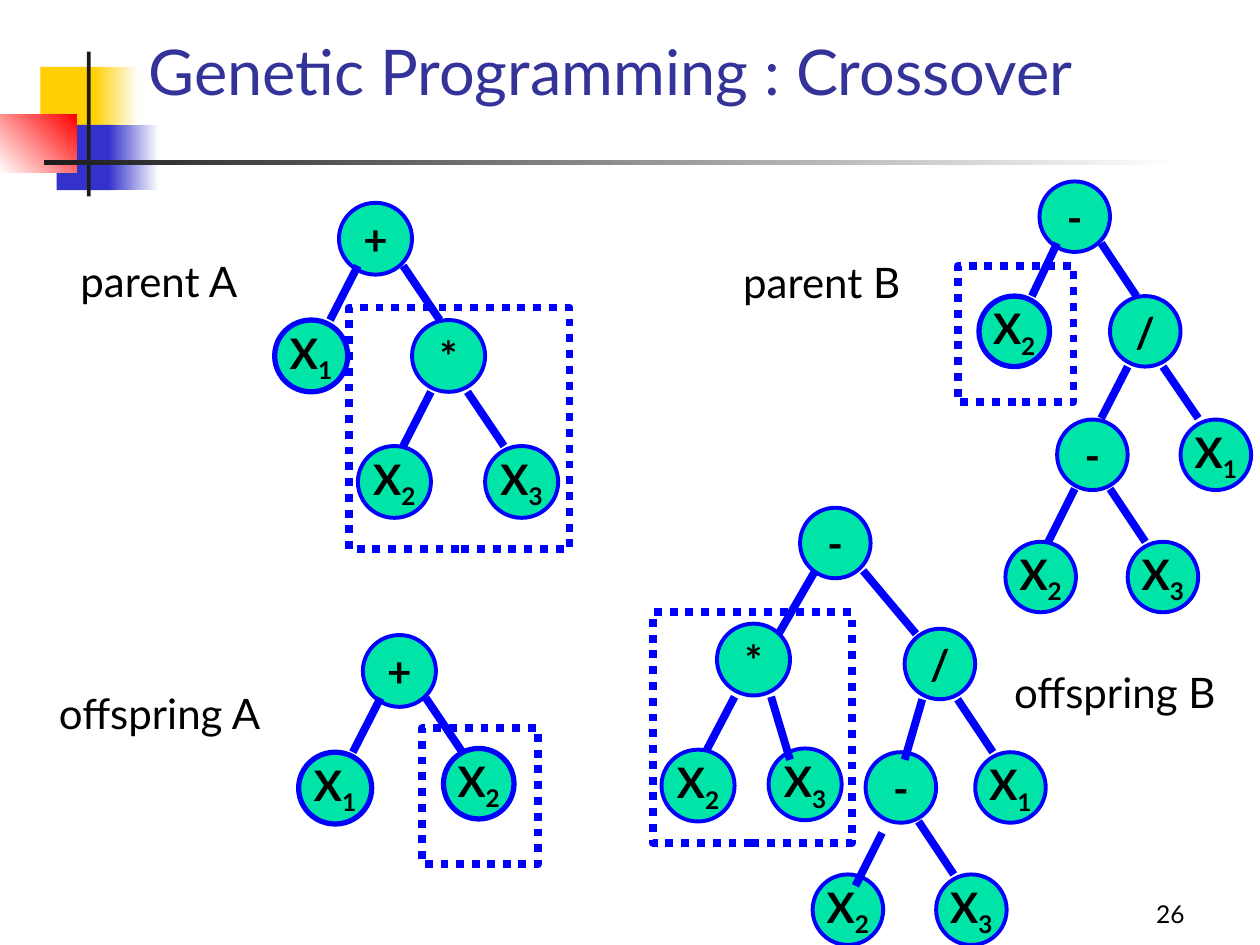
"""Build the genetic programming crossover slide."""

from dataclasses import dataclass
from typing import Any

import lxml.etree
import pptx
import pptx.dml.color
import pptx.enum.dml
import pptx.enum.shapes
import pptx.enum.text
import pptx.oxml.ns
import pptx.util

RGBColor = pptx.dml.color.RGBColor
Anchor = pptx.enum.text.MSO_ANCHOR
Align = pptx.enum.text.PP_ALIGN
Preset = pptx.enum.shapes.MSO_SHAPE

WHITE = RGBColor(0xFF, 0xFF, 0xFF)
BLACK = RGBColor(0x00, 0x00, 0x00)
GOLD = RGBColor(0xFF, 0xCF, 0x01)
INDIGO = RGBColor(0x33, 0x33, 0xCC)
RED = RGBColor(0xFF, 0x00, 0x00)
CHARCOAL = RGBColor(0x1C, 0x1C, 0x1C)
TITLE_BLUE = RGBColor(0x33, 0x33, 0x99)
GREEN = RGBColor(0x00, 0xE4, 0xA8)
BLUE = RGBColor(0x00, 0x00, 0xFF)

FONT = "Lato"
COLUMNS, ROWS = 1000, 750
SLIDE_WIDTH, SLIDE_HEIGHT = pptx.util.Inches(10), pptx.util.Inches(7.5)


@dataclass(frozen=True)
class Area:
    """A rectangle in grid columns and rows."""

    column: int
    row: int
    columns: int
    rows: int

    def lengths(self) -> tuple[int, int, int, int]:
        """Return left, top, width and height."""
        return (across(self.column), down(self.row), across(self.columns), down(self.rows))


@dataclass(frozen=True)
class Ornament:
    """A decorative block, plain or fading between two colours."""

    area: Area
    start: RGBColor
    end: RGBColor | None = None
    angle: int = 0


@dataclass(frozen=True)
class Label:
    """A piece of text in a box."""

    text: str
    area: Area
    size: int = 24
    color: RGBColor = BLACK
    anchor: Anchor = Anchor.TOP
    align: Align = Align.LEFT
    wrap: bool = False


@dataclass(frozen=True)
class Node:
    """A round tree node whose second character is a subscript."""

    symbol: str
    column: int
    row: int
    columns: int = 56
    rows: int = 56
    outline: float = 2.25


@dataclass(frozen=True)
class Edge:
    """A branch between two grid points."""

    column: int
    row: int
    end_column: int
    end_row: int


@dataclass(frozen=True)
class Tree:
    """An expression tree."""

    nodes: list[Node]
    edges: list[Edge]
    grouped: bool = False


ORNAMENTS = [
    Ornament(Area(32, 53, 48, 52), GOLD),
    Ornament(Area(74, 53, 36, 52), GOLD, WHITE),
    Ornament(Area(45, 99, 46, 52), INDIGO),
    Ornament(Area(86, 99, 40, 52), INDIGO, WHITE),
    Ornament(Area(0, 91, 61, 46), WHITE, RED, 45),
    Ornament(Area(69, 41, 3, 115), CHARCOAL),
    Ornament(Area(35, 127, 900, 4), CHARCOAL, WHITE),
]
LABELS = [
    Label("26", Area(742, 692, 208, 50), 14, anchor=Anchor.BOTTOM, align=Align.RIGHT, wrap=True),
    Label("Genetic Programming : Crossover", Area(108, 33, 850, 58), 36, TITLE_BLUE, Anchor.BOTTOM, wrap=True),
    Label("parent A", Area(54, 198, 154, 50)),
    Label("parent B", Area(580, 199, 154, 50)),
    Label("offspring A", Area(37, 541, 193, 50)),
    Label("offspring B", Area(795, 524, 193, 50)),
]
PARENT_A = Tree(
    [Node("+", 269, 161, 58, 57), Node("*", 327, 254, 58, 57), Node("X3", 385, 354, 58, 57),
     Node("X2", 284, 354, 58, 57), Node("X1", 218, 254, 58, 57, 3)],
    [Edge(284, 211, 262, 254), Edge(320, 211, 349, 254),
     Edge(371, 311, 400, 354), Edge(342, 311, 320, 354)],
    grouped=True,
)
PARENT_B = Tree(
    [Node("-", 825, 144), Node("/", 881, 235), Node("X1", 937, 333), Node("-", 839, 333),
     Node("X2", 777, 235, outline=3), Node("X3", 895, 430), Node("X2", 798, 430)],
    [Edge(839, 193, 819, 235), Edge(874, 193, 902, 235), Edge(923, 291, 951, 332),
     Edge(895, 291, 874, 332), Edge(881, 388, 909, 430), Edge(853, 388, 832, 430)],
    grouped=True,
)
OFFSPRING_A = Tree(
    [Node("+", 288, 504, 58, 57), Node("X1", 237, 597, 58, 57, 3), Node("X2", 352, 594, outline=3)],
    [Edge(302, 554, 280, 597), Edge(338, 554, 367, 597)],
)
OFFSPRING_B = Tree(
    [Node("*", 569, 495, 58, 57), Node("X3", 610, 594, 58, 57), Node("X2", 525, 595, 58, 57),
     Node("-", 635, 403), Node("/", 718, 499), Node("X1", 774, 597), Node("-", 687, 597),
     Node("X3", 743, 694), Node("X2", 645, 694)],
    [Edge(612, 553, 627, 603), Edge(583, 553, 561, 595), Edge(647, 453, 618, 503),
     Edge(685, 453, 727, 503), Edge(760, 555, 788, 597), Edge(732, 555, 718, 603),
     Edge(729, 652, 757, 694), Edge(700, 661, 679, 703)],
)
SWAP_FRAMES = [Area(277, 244, 175, 192), Area(760, 211, 92, 108),
               Area(518, 486, 158, 183), Area(335, 578, 92, 108)]


def across(columns: int) -> int:
    """Convert grid columns to a length."""
    return round(SLIDE_WIDTH * columns / COLUMNS)


def down(rows: int) -> int:
    """Convert grid rows to a length."""
    return round(SLIDE_HEIGHT * rows / ROWS)


def format_runs(paragraph: Any, size: int, color: RGBColor, bold: bool = False) -> None:
    """Give every run of a paragraph the slide's font."""
    for run in paragraph.runs:
        run.font.name = FONT
        run.font.size = pptx.util.Pt(size)
        run.font.color.rgb = color
        run.font.bold = bold


def draw_ornament(shapes: Any, ornament: Ornament) -> None:
    """Draw a borderless decorative block."""
    shape = shapes.add_shape(Preset.RECTANGLE, *ornament.area.lengths())
    shape.shadow.inherit = False
    shape.line.fill.background()
    if ornament.end is None:
        shape.fill.solid()
        shape.fill.fore_color.rgb = ornament.start
        return
    shape.fill.gradient()
    shape.fill.gradient_angle = ornament.angle
    for stop, color in zip(shape.fill.gradient_stops, (ornament.start, ornament.end)):
        stop.color.rgb = color


def draw_label(shapes: Any, label: Label) -> None:
    """Draw a text box."""
    text_frame = shapes.add_textbox(*label.area.lengths()).text_frame
    text_frame.text = label.text
    text_frame.word_wrap = label.wrap
    text_frame.vertical_anchor = label.anchor
    if not label.wrap:
        text_frame.auto_size = pptx.enum.text.MSO_AUTO_SIZE.SHAPE_TO_FIT_TEXT
    paragraph = text_frame.paragraphs[0]
    paragraph.alignment = label.align
    format_runs(paragraph, label.size, label.color)


def draw_node(shapes: Any, node: Node) -> None:
    """Draw a circle with its symbol."""
    area = Area(node.column, node.row, node.columns, node.rows)
    shape = shapes.add_shape(Preset.OVAL, *area.lengths())
    shape.shadow.inherit = False
    shape.fill.solid()
    shape.fill.fore_color.rgb = GREEN
    shape.line.color.rgb = BLUE
    shape.line.width = pptx.util.Pt(node.outline)
    shape.text_frame.word_wrap = False
    shape.text_frame.vertical_anchor = Anchor.MIDDLE
    paragraph = shape.text_frame.paragraphs[0]
    paragraph.text = node.symbol[0]
    paragraph.alignment = Align.CENTER
    for subscript in node.symbol[1:]:
        run = paragraph.add_run()
        run.text = subscript
        run.font._element.set("baseline", "-25000")
    format_runs(paragraph, 24, BLACK, bold=True)


def draw_edge(shapes: Any, edge: Edge) -> None:
    """Draw a branch."""
    connector = shapes.add_connector(
        pptx.enum.shapes.MSO_CONNECTOR.STRAIGHT, across(edge.column), down(edge.row),
        across(edge.end_column), down(edge.end_row))
    connector.line.color.rgb = BLUE
    connector.line.width = pptx.util.Pt(4.5)
    lxml.etree.SubElement(connector._element.spPr, pptx.oxml.ns.qn("a:effectLst"))


def draw_tree(shapes: Any, tree: Tree) -> None:
    """Draw the nodes of a tree and its branches over them."""
    target = shapes.add_group_shape().shapes if tree.grouped else shapes
    for node in tree.nodes:
        draw_node(target, node)
    for edge in tree.edges:
        draw_edge(target, edge)


def draw_swap_frame(shapes: Any, area: Area) -> None:
    """Draw a dotted frame around a swapped subtree."""
    shape = shapes.add_shape(Preset.RECTANGLE, *area.lengths())
    shape.shadow.inherit = False
    shape.fill.background()
    shape.line.color.rgb = BLUE
    shape.line.width = pptx.util.Pt(4.5)
    shape.line.dash_style = pptx.enum.dml.MSO_LINE.ROUND_DOT


def main() -> None:
    """Build and save the presentation."""
    presentation = pptx.Presentation()
    presentation.slide_width, presentation.slide_height = SLIDE_WIDTH, SLIDE_HEIGHT
    shapes = presentation.slides.add_slide(presentation.slide_layouts[6]).shapes
    for ornament in ORNAMENTS:
        draw_ornament(shapes, ornament)
    for label in LABELS:
        draw_label(shapes, label)
    for tree in (PARENT_A, PARENT_B, OFFSPRING_A, OFFSPRING_B):
        draw_tree(shapes, tree)
    for area in SWAP_FRAMES:
        draw_swap_frame(shapes, area)
    presentation.save("out.pptx")


if __name__ == "__main__":
    main()
